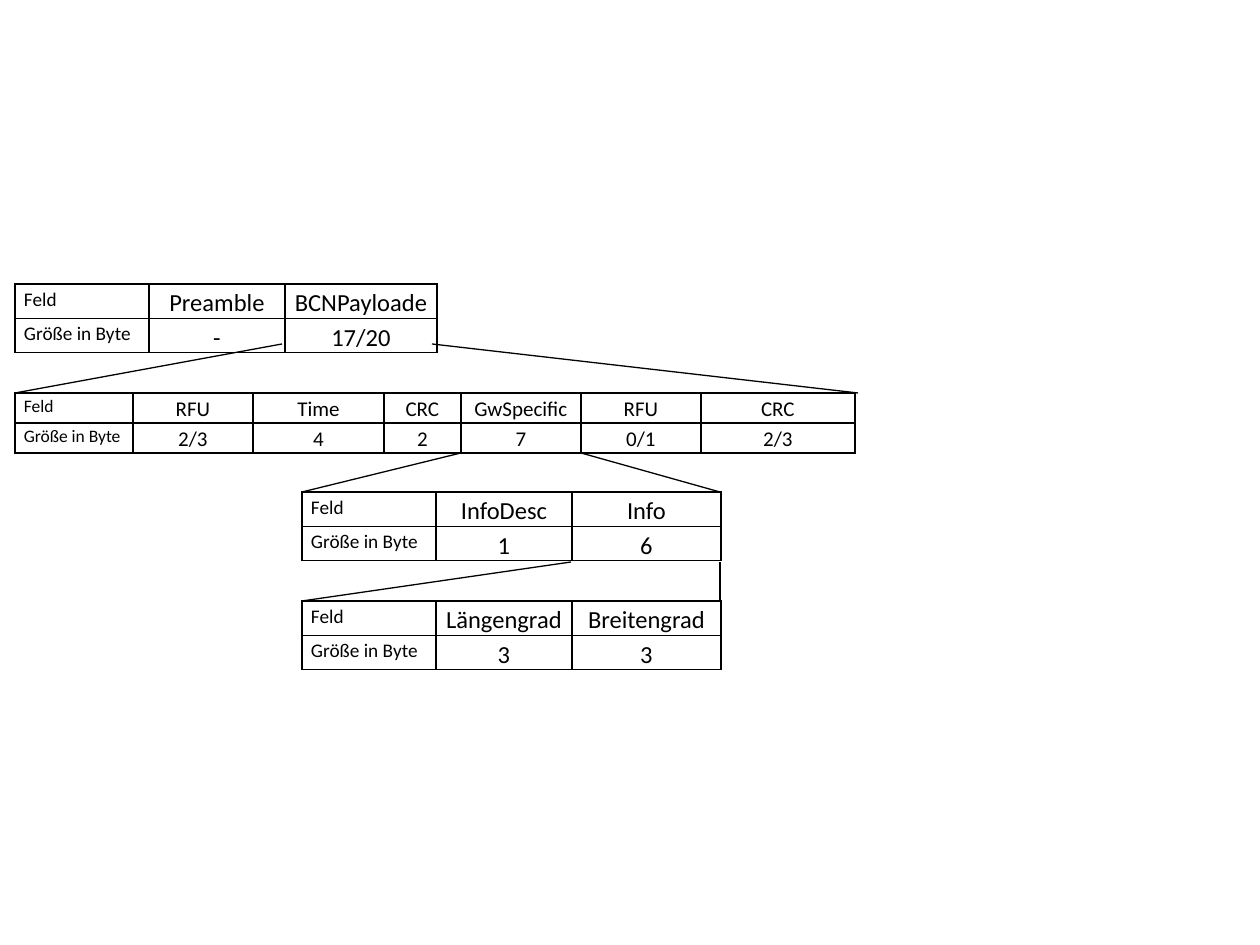
"""Build the beacon frame slide: four nested field tables joined by zoom lines."""
from lxml import etree
from pptx import Presentation
from pptx import util as u
from pptx.dml import color
from pptx.enum import shapes, text
from pptx.oxml import ns

SCALE = 914400 / 126
COLORS = {"ink": "000000"}
INK = color.RGBColor.from_string(COLORS["ink"])


def px(length):
    return u.Emu(round(length * SCALE))


def add_borders(cell):
    props = cell._tc.get_or_add_tcPr()
    for index, side in enumerate(("lnL", "lnR", "lnT", "lnB")):
        border = etree.Element(ns.qn(f"a:{side}"), w=str(u.Pt(1)))
        fill = etree.SubElement(border, ns.qn("a:solidFill"))
        etree.SubElement(fill, ns.qn("a:srgbClr"), val=COLORS["ink"])
        props.insert(index, border)


prs = Presentation()
prs.slide_width, prs.slide_height = px(1260), px(945)
slide = prs.slides.add_slide(prs.slide_layouts[6])

frames = [
    (15, 284, 34, 11, 14, [134, 136, 152],
     ["Preamble", "BCNPayloade"], ["-", "17/20"]),
    (15, 393, 30, 10, 12, [118, 120, 131, 77, 120, 120, 154],
     ["RFU", "Time", "CRC", "GwSpecific", "RFU", "CRC"],
     ["2/3", "4", "2", "7", "0/1", "2/3"]),
    (302, 492, 34, 11, 14, [134, 136, 149],
     ["InfoDesc", "Info"], ["1", "6"]),
    (302, 601, 34, 11, 14, [134, 136, 149],
     ["Längengrad", "Breitengrad"], ["3", "3"]),
]

for left, top, row_height, label_size, value_size, widths, fields, sizes in frames:
    frame = slide.shapes.add_table(
        2, len(widths), px(left), px(top), px(sum(widths)), px(2 * row_height)).table
    frame.first_row = frame.horz_banding = False
    for column, width in zip(frame.columns, widths):
        column.width = px(width)
    for r, entries in enumerate((["Feld"] + fields, ["Größe in Byte"] + sizes)):
        frame.rows[r].height = px(row_height)
        for c, entry in enumerate(entries):
            cell = frame.cell(r, c)
            cell.margin_left = cell.margin_right = px(9)
            cell.margin_top = cell.margin_bottom = 0
            cell.fill.background()
            add_borders(cell)
            paragraph = cell.text_frame.paragraphs[0]
            paragraph.line_spacing = 1.15
            paragraph.alignment = text.PP_ALIGN.CENTER if c else text.PP_ALIGN.LEFT
            run = paragraph.add_run()
            run.text = entry
            run.font.name = "Calibri"
            run.font.size = u.Pt(value_size if c else label_size)
            run.font.color.rgb = INK

zoom_lines = [
    (432, 344, 858, 393), (282, 344, 15, 393),
    (461, 453, 302, 492), (581, 453, 720, 492),
    (571, 562, 302, 601), (720, 562, 720, 601),
]
for ends in zoom_lines:
    zoom = slide.shapes.add_connector(shapes.MSO_CONNECTOR.STRAIGHT, *map(px, ends))
    zoom.line.color.rgb = INK
    zoom.line.width = u.Pt(0.75)
    etree.SubElement(zoom._element.spPr, ns.qn("a:effectLst"))

prs.save("out.pptx")
